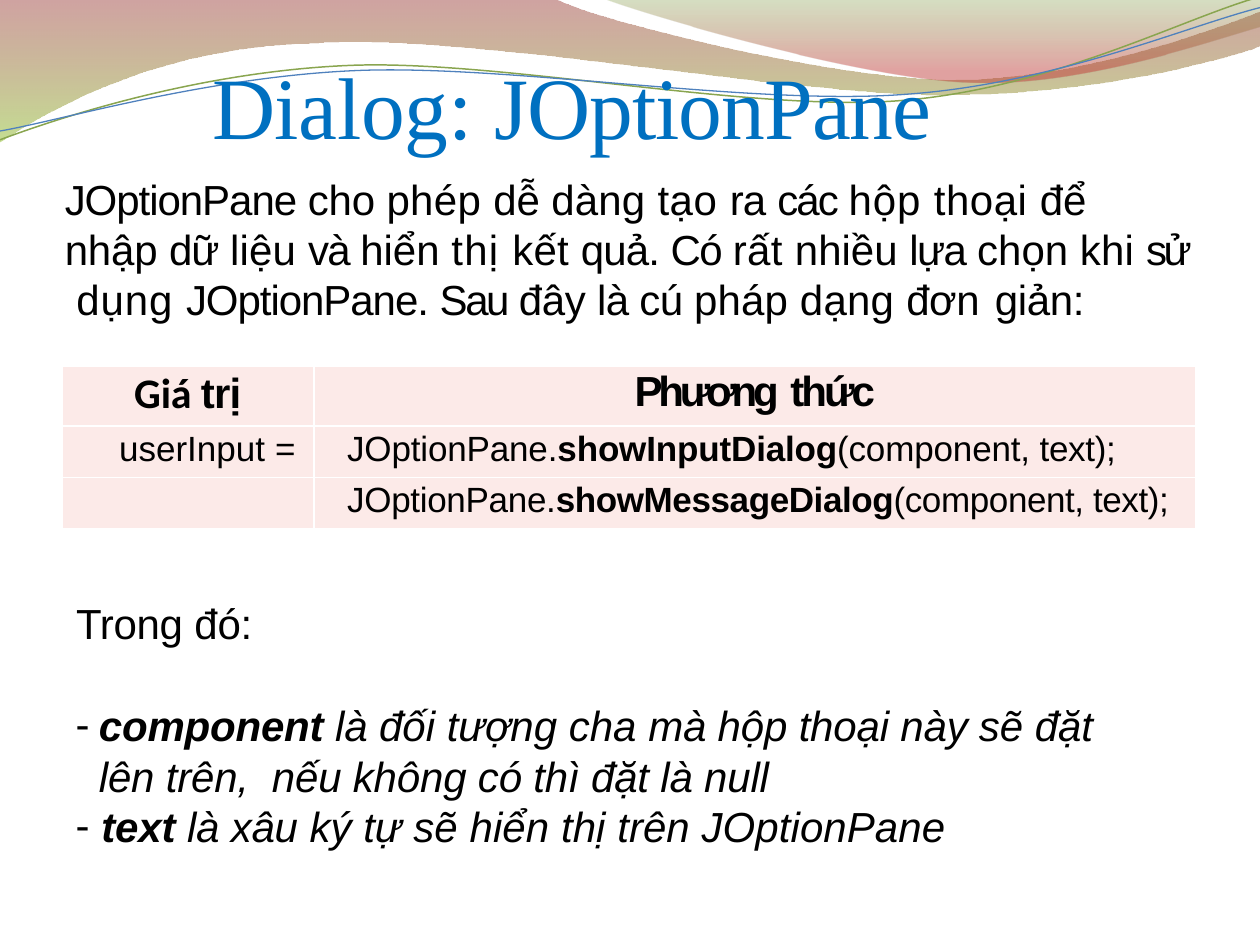
from dataclasses import dataclass
from math import cos, radians, sin

from lxml.etree import SubElement
from pptx import Presentation
from pptx.dml.color import RGBColor as Color
from pptx.enum.text import MSO_ANCHOR as Anchor, MSO_AUTO_SIZE as AutoSize, PP_ALIGN as Align
from pptx.oxml import parse_xml
from pptx.oxml.ns import nsdecls, qn
from pptx.util import Inches, Pt

UNIT = Inches(0.1)  # the page is a grid of 100 columns by 75 rows


@dataclass(frozen=True)
class Theme:
    title: str = "0070C0"
    ink: str = "000000"
    cell: str = "FCEAE8"
    border: str = "FFFFFF"
    green: str = "89A54F"
    blue: str = "4F81BD"
    upper_band: tuple = ((0, "973330", 45), (100, "95C238", 55))
    lower_band: tuple = ((0, "769537", 30), (80, "BE3330", 45))
    title_size: int = 50
    body_size: int = 24
    code_size: int = 20
    title_font: str = "Times New Roman"
    body_font: str = "Arial"
    label_font: str = "Calibri"


@dataclass(frozen=True)
class Box:
    left: float
    top: float
    width: float
    height: float

    def emu(self):
        return [round(v * UNIT) for v in (self.left, self.top, self.width, self.height)]

    def inner(self, left, top, width, height):
        return Box(self.left + left, self.top + top, width, height)


THEME = Theme()
TILT = -2.7  # degrees by which the two waves are turned

# Each outline is a start point, then line ends (x, y) or Bézier steps (x1, y1, x2, y2, x, y).
UPPER_BAND = [(0, 0), (44, -0.1), (47.6, 1.7, 66.4, 6.3, 75.8, 6.3),
              (85.3, 6.3, 95.8, 2.6, 100, 0.9), (100.1, 3.6),
              (98.3, 4.4, 87, 7.6, 74.6, 7.5), (62.2, 7.5, 38.2, 2.8, 25.7, 3.4),
              (12.9, 3.6, 4.6, 8.3, -0.1, 11.3), (0, 0)]
LOWER_BAND = [(47.9, -0.1), (50.9, 1.1, 68.2, 6.2, 76.9, 6.5),
              (85.6, 6.9, 96.1, 3.2, 100, 2.1), (100, 0), (47.9, -0.1)]
GREEN_WAVE = [(0, 11.1), (4.8, 9.3, 15.8, 5.7, 27.7, 5.2),
              (39.5, 4.7, 59.3, 8.9, 71.3, 8), (83.3, 7.1, 93.8, 1.5, 99.8, -0.2)]
BLUE_WAVE = [(0, 10.4), (4.7, 9.6, 16.4, 6.1, 28.3, 5.6),
             (40.3, 5.1, 59.7, 8.4, 71.7, 7.5), (83.6, 6.7, 94.1, 2.1, 100, 0.6)]

# Text spans are (text, letter spacing in points[, bold]).
TITLE = [("Dialog: ", -0.2), ("JOptionPane", -0.6)]
INTRO = [
    ("JOptionPane ", -0.6), ("cho ", -0.1), ("phép ", 0.2), ("dễ ", -0.1), ("dàng ", 0.1),
    ("tạo ", 0.3), ("ra ", -0.4), ("các ", -1.1), ("hộp ", 0.5), ("thoại ", 0.3),
    ("để  nhập ", -0.1), ("dữ ", -0.6), ("liệu ", 0.1), ("và ", -1.1), ("hiển ", 0),
    ("thị ", 0.7), ("kết ", 0.1), ("quả. ", -0.5), ("Có ", -0.9), ("rất ", 0.2),
    ("nhiều ", 0), ("lựa ", -0.9), ("chọn ", 0), ("khi ", 0.1), ("sử  ", -1.9),
    ("dụng ", 0.5), ("JOptionPane. ", -0.6), ("Sau ", -1.4), ("đây ", -0.2),
    ("là cú ", -0.4), ("pháp dạng ", 0.1), ("đơn", -0.2), (" ", 1.9), ("giản:", -0.2)]
HEADINGS = [[("Giá ", -0.1), ("trị", -0.5)], [("Phương", -2.4), (" ", -0.1), ("thức", -1.7)]]
CALLS = [
    [[("userInput ", 0), ("=", 2)],
     [("JOptionPane.", -0.1), ("showInputDialog", -0.1, True),
      ("(component, ", -0.1), ("text);", -0.2)]],
    [[], [("JOptionPane.", -0.2), ("showMessageDialog", -0.25, True),
          ("(component, text);", -0.25)]]]
WHERE = [("Trong", -0.2), (" đó:", -0.1)]
ARGUMENTS = [
    [("component ", -0.1, True), ("là ", -0.1), ("đối tượng cha ", 0),
     ("mà hộp thoại này ", -0.1), ("sẽ ", 0),
     ("đặt lên trên,  nếu không có thì đặt là null", -0.1)],
    [("text ", -0.1, True), ("là xâu ", -0.1), ("ký ", 0),
     ("tự sẽ hiển thị trên JOptionPane", 0.05)]]


def write(para, spans, size, font=THEME.body_font, color=THEME.ink, bold=False,
          italic=False, before=0, indent=0, hanging=0):
    para.space_before = Pt(before)
    props = para._p.get_or_add_pPr()
    props.set("marL", str(round(indent * UNIT)))
    props.set("indent", str(round(-hanging * UNIT)))
    for text, spacing, *strong in spans:
        span = para.add_run()
        span.text = text
        span.font.size, span.font.name = Pt(size), font
        span.font.bold, span.font.italic = bold or bool(strong), italic
        span.font.color.rgb = Color.from_string(color)
        span.font._element.set("spc", str(round(spacing * 100)))


def add_bullet(para, mark="-"):
    props = para._p.get_or_add_pPr()
    SubElement(props, qn("a:buFont")).set("typeface", THEME.body_font)
    SubElement(props, qn("a:buChar")).set("char", mark)


def set_margins(holder, top):
    holder.margin_left = holder.margin_right = holder.margin_bottom = 0
    holder.margin_top = round(top * UNIT)


def add_text_box(page, box, anchor=Anchor.TOP):
    frame = page.shapes.add_textbox(*box.emu()).text_frame
    frame.word_wrap, frame.auto_size = True, AutoSize.SHAPE_TO_FIT_TEXT
    frame.vertical_anchor = anchor
    set_margins(frame, 0.14)
    return frame


def add_outline(page, box, origin, outline, tilt=0):
    """Draw an outline given relative to origin in a frame box, turned by tilt degrees."""
    left, top, width, height = box.emu()
    builder = page.shapes.build_freeform(left, top)
    builder.add_line_segments([(left + width, top), (left + width, top + height)], close=False)
    shape = builder.convert_to_shape()
    shape.shadow.inherit = False
    shape.rotation = tilt % 360
    track = shape._element.spPr.find(".//" + qn("a:path"))
    for command in list(track):
        track.remove(command)
    turn_cos, turn_sin = cos(radians(-tilt)), sin(radians(-tilt))
    for place, step in enumerate(outline):
        kind = "a:moveTo" if place == 0 else "a:lnTo" if len(step) == 2 else "a:cubicBezTo"
        command = SubElement(track, qn(kind))
        for x, y in zip(step[::2], step[1::2]):
            dx = origin.left + x - box.left - box.width / 2
            dy = origin.top + y - box.top - box.height / 2
            point = SubElement(command, qn("a:pt"))
            point.set("x", str(round((dx * turn_cos - dy * turn_sin + box.width / 2) * UNIT)))
            point.set("y", str(round((dx * turn_sin + dy * turn_cos + box.height / 2) * UNIT)))
    if outline[0] == outline[-1]:
        SubElement(track, qn("a:close"))
    return shape


def add_band(page, box, origin, outline, stops):
    shape = add_outline(page, box, origin, outline)
    shape.line.fill.background()
    marks = "".join(f'<a:gs pos="{pos * 1000}"><a:srgbClr val="{color}">'
                    f'<a:alpha val="{alpha * 1000}"/></a:srgbClr></a:gs>'
                    for pos, color, alpha in stops)
    shape._element.spPr.find(qn("a:custGeom")).addnext(parse_xml(
        f'<a:gradFill {nsdecls("a")} rotWithShape="1"><a:gsLst>{marks}</a:gsLst>'
        '<a:lin ang="5400000" scaled="0"/></a:gradFill>'))


def add_wave(page, box, origin, outline, color, width):
    shape = add_outline(page, box, origin, outline, TILT)
    shape.fill.background()
    shape.line.color.rgb, shape.line.width = Color.from_string(color), Pt(width)


def add_ribbon(page, box):
    add_band(page, box.inner(-0.1, -0.1, 100.2, 11.4), box, UPPER_BAND, THEME.upper_band)
    add_band(page, box.inner(47.9, -0.1, 52.1, 7), box, LOWER_BAND, THEME.lower_band)
    add_wave(page, box.inner(-0.2, 2.2, 100.2, 7.1), box, GREEN_WAVE, THEME.green, 0.85)
    add_wave(page, box.inner(-0.2, 3, 100.3, 5.8), box, BLUE_WAVE, THEME.blue, 0.75)


def add_title(page, box):
    para = add_text_box(page, box, Anchor.BOTTOM).paragraphs[0]
    write(para, TITLE, THEME.title_size, THEME.title_font, THEME.title, before=1.1, indent=0.14)


def add_intro(page, box):
    write(add_text_box(page, box).paragraphs[0], INTRO, THEME.body_size, before=1, indent=0.14)


def style_cell(cell, top):
    cell.fill.solid()
    cell.fill.fore_color.rgb = Color.from_string(THEME.cell)
    set_margins(cell, top)
    props = cell._tc.get_or_add_tcPr()
    for place, side in enumerate("LRTB"):
        props.insert(place, parse_xml(
            f'<a:ln{side} {nsdecls("a")} w="12700"><a:solidFill>'
            f'<a:srgbClr val="{THEME.border}"/></a:solidFill></a:ln{side}>'))


def add_call_table(page, box):
    table = page.shapes.add_table(3, 2, *box.emu()).table
    for column, share in zip(table.columns, (2, 7)):
        column.width = round(box.width * share / 9 * UNIT)
    for row, height in zip(table.rows, (4.7, 4.1, 4.1)):
        row.height = round(height * UNIT)
    for r, row in enumerate([HEADINGS, *CALLS]):
        for c, spans in enumerate(row):
            cell = table.cell(r, c)
            style_cell(cell, 0.3 if r else 0.14)
            para = cell.text_frame.paragraphs[0]
            if r:
                write(para, spans, THEME.code_size, before=2, indent=(4.55, 2.65)[c])
            else:
                write(para, spans, THEME.body_size, bold=True, before=1.1, indent=(5.75, 0)[c])
    table.cell(0, 0).text_frame.paragraphs[0].runs[0].font.name = THEME.label_font
    table.cell(0, 1).text_frame.paragraphs[0].alignment = Align.CENTER


def add_arguments(page, box):
    frame = add_text_box(page, box)
    write(frame.paragraphs[0], WHERE, THEME.body_size, before=1, indent=0.14)
    for spans, before, indent, hanging in zip(ARGUMENTS, (29.5, 0), (1.95, 2.15), (1.85, 2.05)):
        para = frame.add_paragraph()
        write(para, spans, THEME.body_size, italic=True, before=before,
              indent=indent, hanging=hanging)
        add_bullet(para)


def main():
    deck = Presentation()
    deck.slide_width, deck.slide_height = 100 * UNIT, 75 * UNIT
    page = deck.slides.add_slide(deck.slide_layouts[6])
    add_ribbon(page, Box(0, 0, 100, 75))
    add_title(page, Box(16.7, 3.9, 57.4, 8.6))
    add_intro(page, Box(5, 13.6, 89.8, 12.3))
    add_call_table(page, Box(4.9, 29.1, 90, 12.9))
    add_arguments(page, Box(5.9, 47.3, 82.8, 20.5))
    deck.save("out.pptx")


if __name__ == "__main__":
    main()
